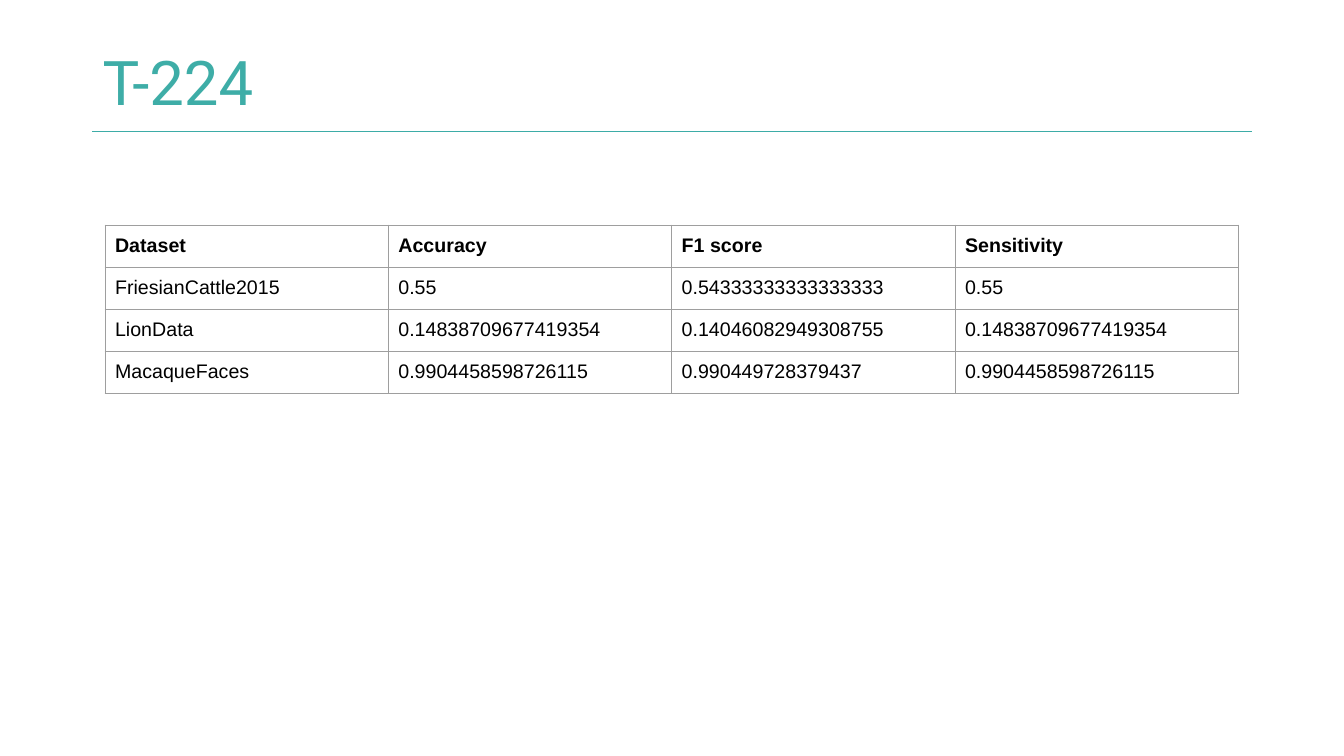
from lxml.etree import SubElement
from pptx import Presentation
from pptx.dml.color import RGBColor
from pptx.enum.shapes import MSO_CONNECTOR
from pptx.enum.text import MSO_ANCHOR, PP_ALIGN
from pptx.oxml.ns import qn
from pptx.util import Cm, Pt

COLORS = {
    "title": "3EADA7",
    "rule": "3DACA7",
    "text": "000000",
    "border": "9E9E9E",
}
RESULTS = [
    ("Dataset", "Accuracy", "F1 score", "Sensitivity"),
    ("FriesianCattle2015", "0.55", "0.54333333333333333", "0.55"),
    ("LionData", "0.14838709677419354", "0.14046082949308755", "0.14838709677419354"),
    ("MacaqueFaces", "0.9904458598726115", "0.990449728379437", "0.9904458598726115"),
]


def color(name):
    return RGBColor.from_string(COLORS[name])


def add_run(paragraph, text, font_name, size, color_name, bold=False):
    run = paragraph.add_run()
    run.text = text
    run.font.name = font_name
    run.font.size = Pt(size)
    run.font.bold = bold
    run.font.color.rgb = color(color_name)


def add_cell_borders(cell):
    properties = cell._tc.get_or_add_tcPr()
    for position, side in enumerate(("a:lnL", "a:lnR", "a:lnT", "a:lnB")):
        line = SubElement(properties, qn(side), w=str(Pt(0.75)))
        fill = SubElement(line, qn("a:solidFill"))
        SubElement(fill, qn("a:srgbClr"), val=COLORS["border"])
        properties.insert(position, line)


def add_heading(slide, text, left, top, width, height, rule_width):
    title = slide.shapes.title
    title.left, title.top, title.width, title.height = left, top, width, height
    frame = title.text_frame
    frame.word_wrap = True
    frame.vertical_anchor = MSO_ANCHOR.MIDDLE
    paragraph = frame.paragraphs[0]
    paragraph.alignment = PP_ALIGN.LEFT
    paragraph.line_spacing = 0.9
    add_run(paragraph, text, "Roboto", 44, "title")

    bottom = top + height
    rule = slide.shapes.add_connector(
        MSO_CONNECTOR.STRAIGHT, left, bottom, left + rule_width, bottom
    )
    rule.line.color.rgb = color("rule")
    rule.line.width = Pt(0.75)
    SubElement(rule._element.spPr, qn("a:effectLst"))


def add_results_table(slide, rows, left, top, width, height):
    frame = slide.shapes.add_table(len(rows), len(rows[0]), left, top, width, height)
    table = frame.table
    table.horz_banding = False
    for row_index, values in enumerate(rows):
        for column_index, value in enumerate(values):
            cell = table.cell(row_index, column_index)
            cell.fill.background()
            cell.margin_left = cell.margin_right = Cm(0.25)
            cell.margin_top = cell.margin_bottom = Cm(0.25)
            add_run(cell.text_frame.paragraphs[0], value, "Arial", 14, "text",
                    bold=row_index == 0)
            add_cell_borders(cell)


def main():
    presentation = Presentation()
    presentation.slide_width = Cm(33.87)
    presentation.slide_height = Cm(19.05)
    slide = presentation.slides.add_slide(presentation.slide_layouts.get_by_name("Title Only"))
    add_heading(slide, "T-224", Cm(2.33), Cm(1.02), Cm(26.24), Cm(2.29), Cm(29.21))
    add_results_table(slide, RESULTS, Cm(2.65), Cm(5.67), Cm(28.56), Cm(4.24))
    presentation.save("out.pptx")


if __name__ == "__main__":
    main()
